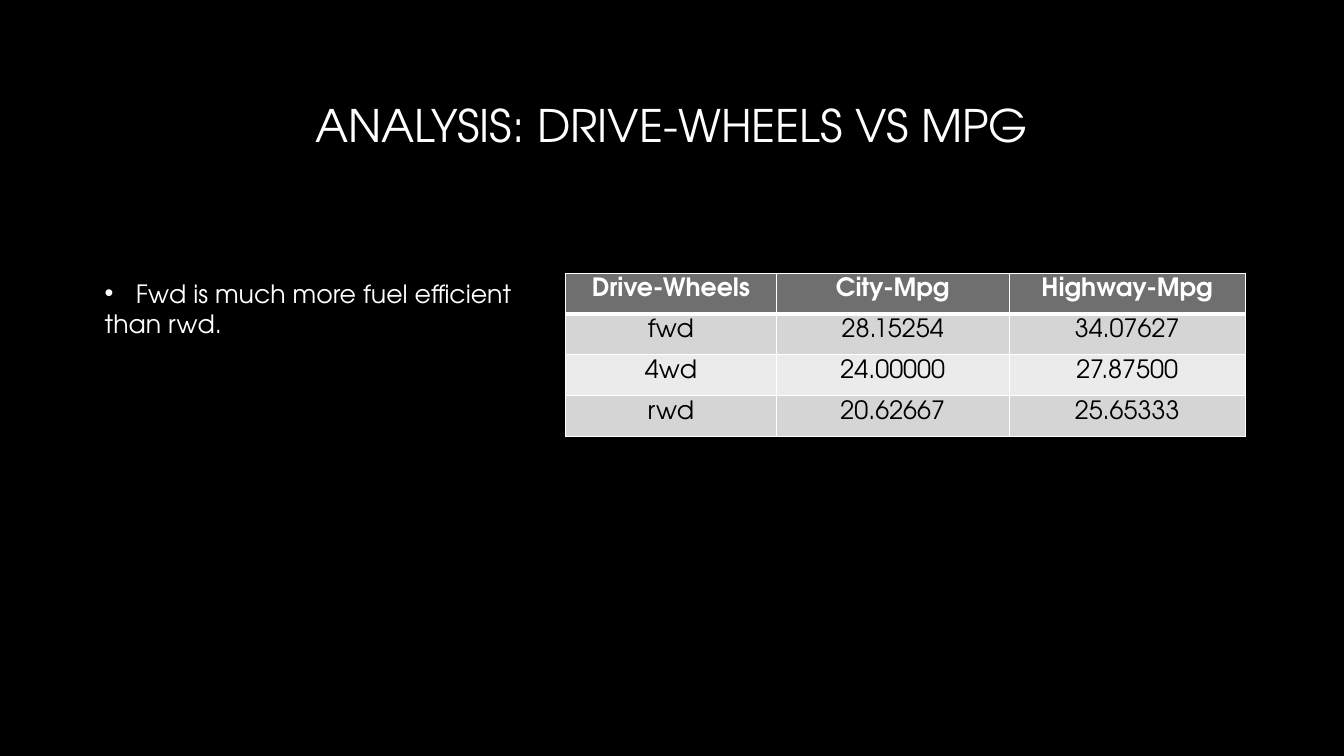
from lxml import etree
from pptx import Presentation
from pptx import util as u
from pptx.dml.color import RGBColor
from pptx.enum import text
from pptx.oxml import ns

BLACK = RGBColor(0x00, 0x00, 0x00)
WHITE = RGBColor(0xFF, 0xFF, 0xFF)
HEADER = RGBColor(0x6F, 0x6F, 0x6F)
BAND_DARK = RGBColor(0xD5, 0xD5, 0xD5)
BAND_LIGHT = RGBColor(0xEB, 0xEB, 0xEB)
FONT = "TeX Gyre Adventor"


def add_run(p, words, size, color, bold=False):
    r = p.add_run()
    r.text = words
    r.font.name = FONT
    r.font.size = u.Pt(size)
    r.font.color.rgb = color
    r.font.bold = bold


def add_border(cell, side, width):
    ln = etree.SubElement(cell._tc.get_or_add_tcPr(), ns.qn("a:" + side), w=str(u.Pt(width)))
    fill = etree.SubElement(ln, ns.qn("a:solidFill"))
    etree.SubElement(fill, ns.qn("a:srgbClr"), val=str(WHITE))


prs = Presentation()
prs.slide_width = u.Inches(13.33)
prs.slide_height = u.Inches(7.5)
s = prs.slides.add_slide(prs.slide_layouts[6])
s.background.fill.solid()
s.background.fill.fore_color.rgb = BLACK

content_top = u.Inches(2.71)
col_widths = [u.Inches(w) for w in (2.09, 2.31, 2.34)]

title = s.shapes.add_textbox(u.Inches(1.25), u.Inches(0.67), u.Inches(10.83), u.Inches(1.13))
tf = title.text_frame
tf.word_wrap = True
tf.vertical_anchor = text.MSO_ANCHOR.MIDDLE
p = tf.paragraphs[0]
p.alignment = text.PP_ALIGN.CENTER
add_run(p, "ANALYSIS: DRIVE-WHEELS VS MPG", 32, WHITE)

rows = [
    ("Drive-Wheels", "City-Mpg", "Highway-Mpg"),
    ("fwd", "28.15254", "34.07627"),
    ("4wd", "24.00000", "27.87500"),
    ("rwd", "20.62667", "25.65333"),
]
table_height = u.Inches(1.62)
table = s.shapes.add_table(
    len(rows), len(col_widths), u.Inches(5.61), content_top, sum(col_widths), table_height
).table
for column, width in zip(table.columns, col_widths):
    column.width = width
for i, row in enumerate(rows):
    table.rows[i].height = table_height // len(rows)
    is_header = i == 0
    band = HEADER if is_header else (BAND_DARK if i % 2 else BAND_LIGHT)
    for j, words in enumerate(row):
        cell = table.cell(i, j)
        cell.margin_top = u.Inches(0.05)
        cell.margin_bottom = 0
        for side in ("lnL", "lnR", "lnT", "lnB"):
            thick = (is_header and side == "lnB") or (i == 1 and side == "lnT")
            add_border(cell, side, 3 if thick else 1)
        cell.fill.solid()
        cell.fill.fore_color.rgb = band
        p = cell.text_frame.paragraphs[0]
        p.alignment = text.PP_ALIGN.CENTER
        add_run(p, words, 18, WHITE if is_header else BLACK, is_header)

finding = s.shapes.add_textbox(u.Inches(0.94), content_top, u.Inches(4.38), u.Inches(0.71))
tf = finding.text_frame
tf.word_wrap = True
p = tf.paragraphs[0]
indent = u.Inches(0.31)
pPr = p._p.get_or_add_pPr()
pPr.set("marL", str(indent))
pPr.set("indent", str(-indent))
etree.SubElement(pPr, ns.qn("a:buFont"), typeface="Arial")
etree.SubElement(pPr, ns.qn("a:buChar"), char="•")
add_run(p, "Fwd is much more fuel efficient", 18, WHITE)
add_run(tf.add_paragraph(), "than rwd.", 18, WHITE)

prs.save("out.pptx")
